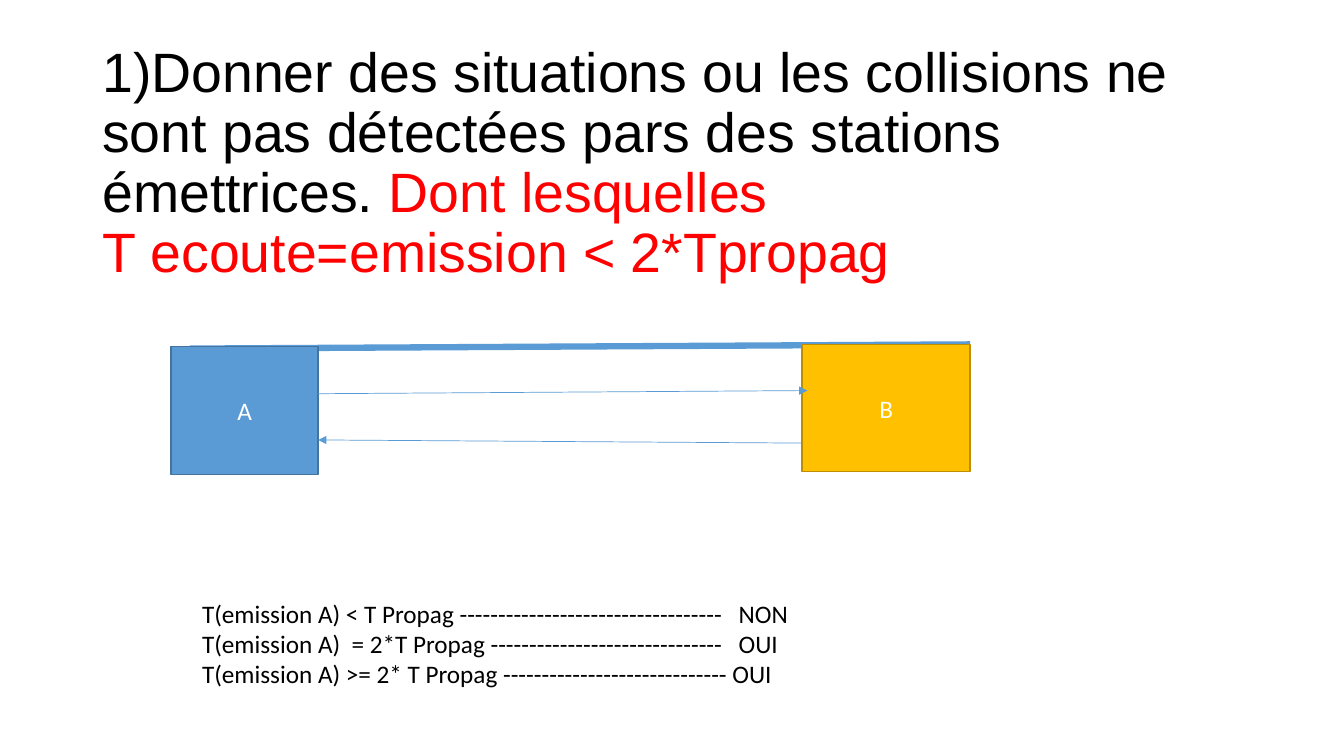
from lxml.etree import SubElement
from pptx import Presentation
from pptx.dml.color import RGBColor
from pptx.enum.shapes import MSO_CONNECTOR, MSO_SHAPE
from pptx.enum.text import MSO_ANCHOR, PP_ALIGN
from pptx.oxml.ns import qn
from pptx.util import Emu, Pt

BLUE, BLUE_EDGE = "5B9BD5", "43739E"
GOLD, GOLD_EDGE = "FFC000", "BD8E00"
BLACK, WHITE, RED = "000000", "FFFFFF", "FF0000"
BODY = {"size": Pt(18), "name": "Calibri"}
HEADING = {"size": Pt(39.6), "name": "Arial"}


def px(n):
    return Emu(n * 9525)


def rgb(color):
    return RGBColor.from_string(color)


def add_run(p, text, fmt, color):
    r = p.add_run()
    r.text = text
    for name, value in fmt.items():
        setattr(r.font, name, value)
    r.font.color.rgb = rgb(color)


def add_textbox(s, x, y, w, h, anchor):
    tf = s.shapes.add_textbox(px(x), px(y), px(w), px(h)).text_frame
    tf.word_wrap = True
    tf.vertical_anchor = anchor
    return tf


def add_station(s, label, x, y, w, h, fill, edge):
    sp = s.shapes.add_shape(MSO_SHAPE.RECTANGLE, px(x), px(y), px(w), px(h))
    sp.shadow.inherit = False
    sp.fill.solid()
    sp.fill.fore_color.rgb = rgb(fill)
    sp.line.color.rgb = rgb(edge)
    sp.line.width = Pt(1)
    sp.text_frame.vertical_anchor = MSO_ANCHOR.MIDDLE
    p = sp.text_frame.paragraphs[0]
    p.alignment = PP_ALIGN.CENTER
    add_run(p, label, BODY, WHITE)


def add_line(s, x1, y1, x2, y2, width, arrow=False):
    line = s.shapes.add_connector(MSO_CONNECTOR.STRAIGHT, px(x1), px(y1), px(x2), px(y2))
    line.line.color.rgb = rgb(BLUE)
    line.line.width = Pt(width)
    spPr = line._element.spPr
    if arrow:
        SubElement(spPr.find(qn("a:ln")), qn("a:tailEnd"), type="triangle")
    SubElement(spPr, qn("a:effectLst"))


def add_title(s, x, y, w, h):
    p = add_textbox(s, x, y, w, h, MSO_ANCHOR.MIDDLE).paragraphs[0]
    p.line_spacing = 0.9
    add_run(p, "1)Donner des situations ou les collisions ne sont pas détectées "
               "pars des stations émettrices. ", HEADING, BLACK)
    add_run(p, "Dont lesquelles ", HEADING, RED)
    p.add_line_break()
    add_run(p, "T ecoute=emission < 2*Tpropag", HEADING, RED)


def add_diagram(s, x, y, w, h):
    a_right, b_left = x + 140, x + w - 160
    # Shared cable, behind the stations
    add_line(s, x + 18, y + 4, x + w, y, 4.5)
    # Stations
    add_station(s, "A", x, y + 2, 140, h - 2, BLUE, BLUE_EDGE)
    add_station(s, "B", b_left, y, 160, h - 3, GOLD, GOLD_EDGE)
    # Signals there and back
    add_line(s, a_right, y + 47, b_left + 5, y + 44, 0.5, arrow=True)
    add_line(s, b_left, y + 94, a_right, y + 91, 0.5, arrow=True)


def add_conclusions(s, x, y, w, h):
    tf = add_textbox(s, x, y, w, h, MSO_ANCHOR.TOP)
    lines = [
        "T(emission A) < T Propag " + "-" * 34 + "\tNON",
        "T(emission A)  = 2*T Propag " + "-" * 30 + "\tOUI",
        "T(emission A) >= 2* T Propag " + "-" * 29 + " OUI",
    ]
    for i, text in enumerate(lines):
        p = tf.add_paragraph() if i else tf.paragraphs[0]
        add_run(p, text, BODY, BLACK)
        # Tab stop for the answers
        tabs = SubElement(p._p.get_or_add_pPr(), qn("a:tabLst"))
        SubElement(tabs, qn("a:tab"), pos=str(px(511)), algn="l")


def main():
    prs = Presentation()
    prs.slide_width, prs.slide_height = px(1280), px(720)
    s = prs.slides.add_slide(prs.slide_layouts[6])
    add_title(s, 88, 38, 1104, 237)
    add_diagram(s, 163, 328, 761, 124)
    add_conclusions(s, 183, 565, 844, 97)
    prs.save("out.pptx")


if __name__ == "__main__":
    main()
